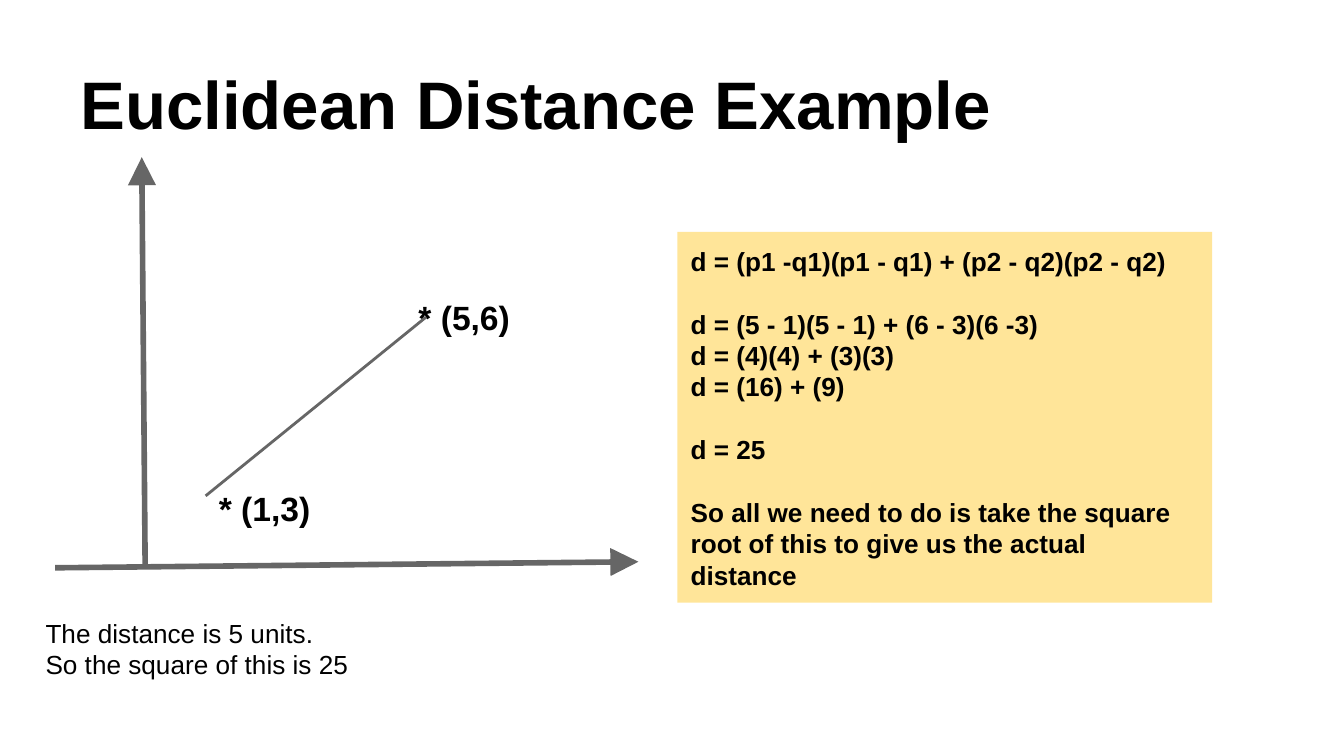
from pptx import Presentation, util as u
from pptx.dml.color import RGBColor
from pptx.enum import shapes, text
from pptx.oxml import parse_xml
from pptx.oxml.ns import nsdecls, qn

PX = 4572  # 200 px to the inch
BLACK = RGBColor(0, 0, 0)
GREY = RGBColor(0x66, 0x66, 0x66)
SAND = RGBColor(0xFF, 0xE5, 0x99)
GAP = 16.8

# Each step: text, points of space before it
STEPS = [
    ("d = (p1 -q1)(p1 - q1) + (p2 - q2)(p2 - q2)", 0),
    ("d = (5 - 1)(5 - 1) + (6 - 3)(6 -3)", GAP),
    ("d = (4)(4) + (3)(3)", 0),
    ("d = (16) + (9)", 0),
    ("d = 25", GAP),
    ("So all we need to do is take the square root of this "
     "to give us the actual distance", GAP),
]


def write(shape, lines, size=14, bold=False, anchor=text.MSO_ANCHOR.TOP):
    """Fill a shape with (text, space before) lines."""
    frame = shape.text_frame
    frame.word_wrap = True
    frame.vertical_anchor = anchor
    frame.margin_left = frame.margin_right = 20 * PX
    frame.margin_top = frame.margin_bottom = 20 * PX
    for i, (words, gap) in enumerate(lines):
        para = frame.add_paragraph() if i else frame.paragraphs[0]
        para.alignment = text.PP_ALIGN.LEFT
        para.space_before = u.Pt(gap)
        run = para.add_run()
        run.text = words
        font = run.font
        font.name, font.size, font.bold = "Arial", u.Pt(size), bold
        font.color.rgb = BLACK


def label(slide, box, *lines, **style):
    shape = slide.shapes.add_textbox(*(n * PX for n in box))
    write(shape, [(line, 0) for line in lines], **style)


def line(slide, start, end, width, arrow=False):
    link = slide.shapes.add_connector(
        shapes.MSO_CONNECTOR.STRAIGHT, *(n * PX for n in start + end))
    link.line.color.rgb = GREY
    link.line.width = u.Pt(width)
    props = link._element.spPr
    if arrow:
        props.find(qn("a:ln")).append(parse_xml(
            f'<a:tailEnd {nsdecls("a")} type="triangle" w="lg" len="lg"/>'))
    props.append(parse_xml(f'<a:effectLst {nsdecls("a")}/>'))


def graph(slide, left, top):
    """Axes, the two points and the line that joins them."""
    def at(x, y):
        return left + x, top + y

    line(slide, at(134, 608), at(129, 0), 3, arrow=True)
    line(slide, at(0, 611), at(868, 602), 3, arrow=True)
    for words, x, y in (("* (1,3)", 224, 472), ("* (5,6)", 521, 188)):
        label(slide, (*at(x, y), 296, 62), words, size=18, bold=True)
    line(slide, at(224, 504), at(552, 238), 1.5)


def panel(slide, box):
    """The worked sum."""
    shape = slide.shapes.add_shape(
        shapes.MSO_SHAPE.RECTANGLE, *(n * PX for n in box))
    shape.shadow.inherit = False
    shape.fill.solid()
    shape.fill.fore_color.rgb = SAND
    shape.line.fill.background()
    write(shape, STEPS, bold=True)


def main():
    deck = Presentation()
    deck.slide_width, deck.slide_height = 2000 * PX, 1125 * PX
    slide = deck.slides.add_slide(deck.slide_layouts[6])
    label(slide, (100, 45, 1800, 188), "Euclidean Distance Example",
          size=36, bold=True, anchor=text.MSO_ANCHOR.BOTTOM)
    graph(slide, 82, 234)
    label(slide, (48, 898, 950, 138),
          "The distance is 5 units.", "So the square of this is 25")
    panel(slide, (1008, 345, 796, 552))
    deck.save("out.pptx")


if __name__ == "__main__":
    main()
